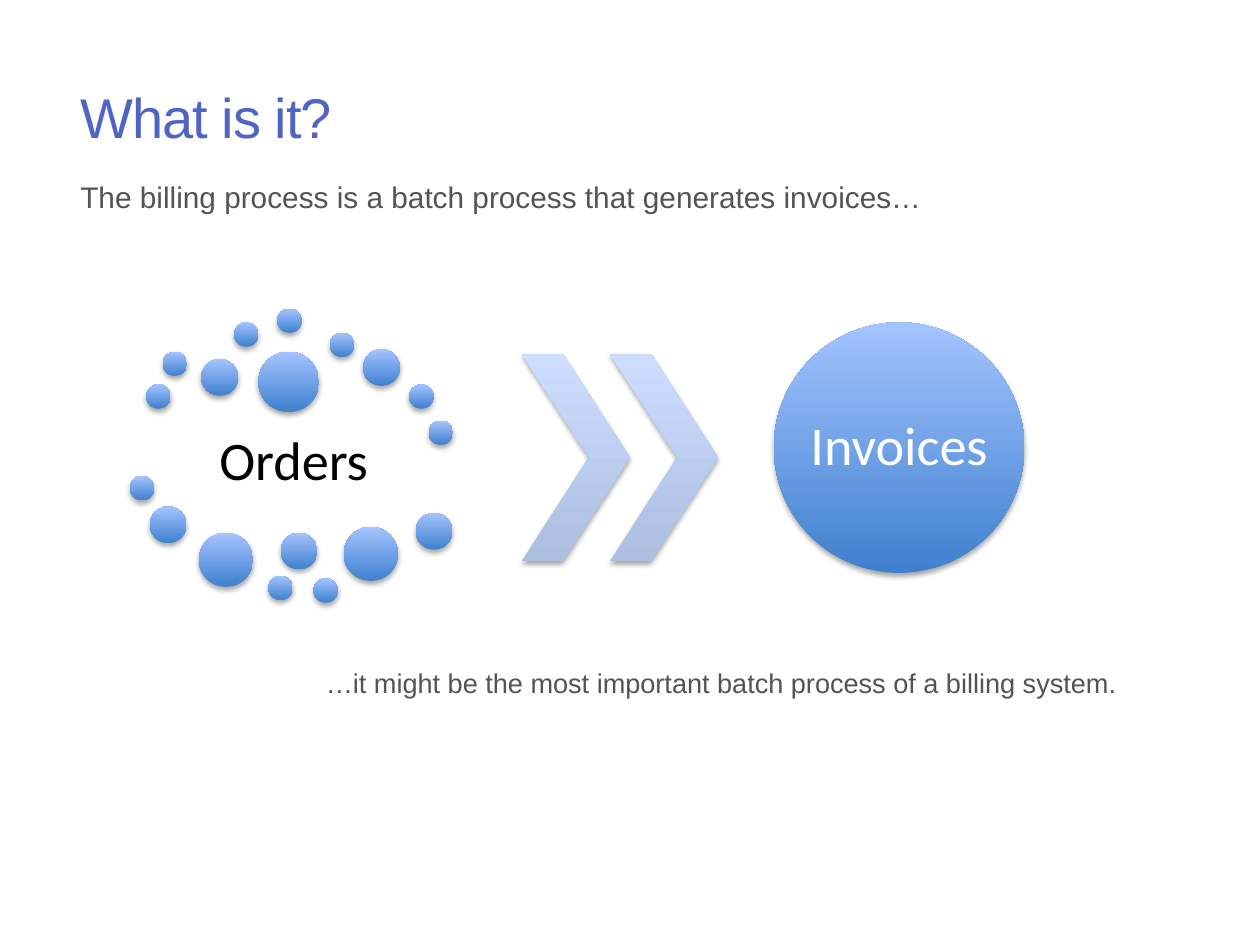
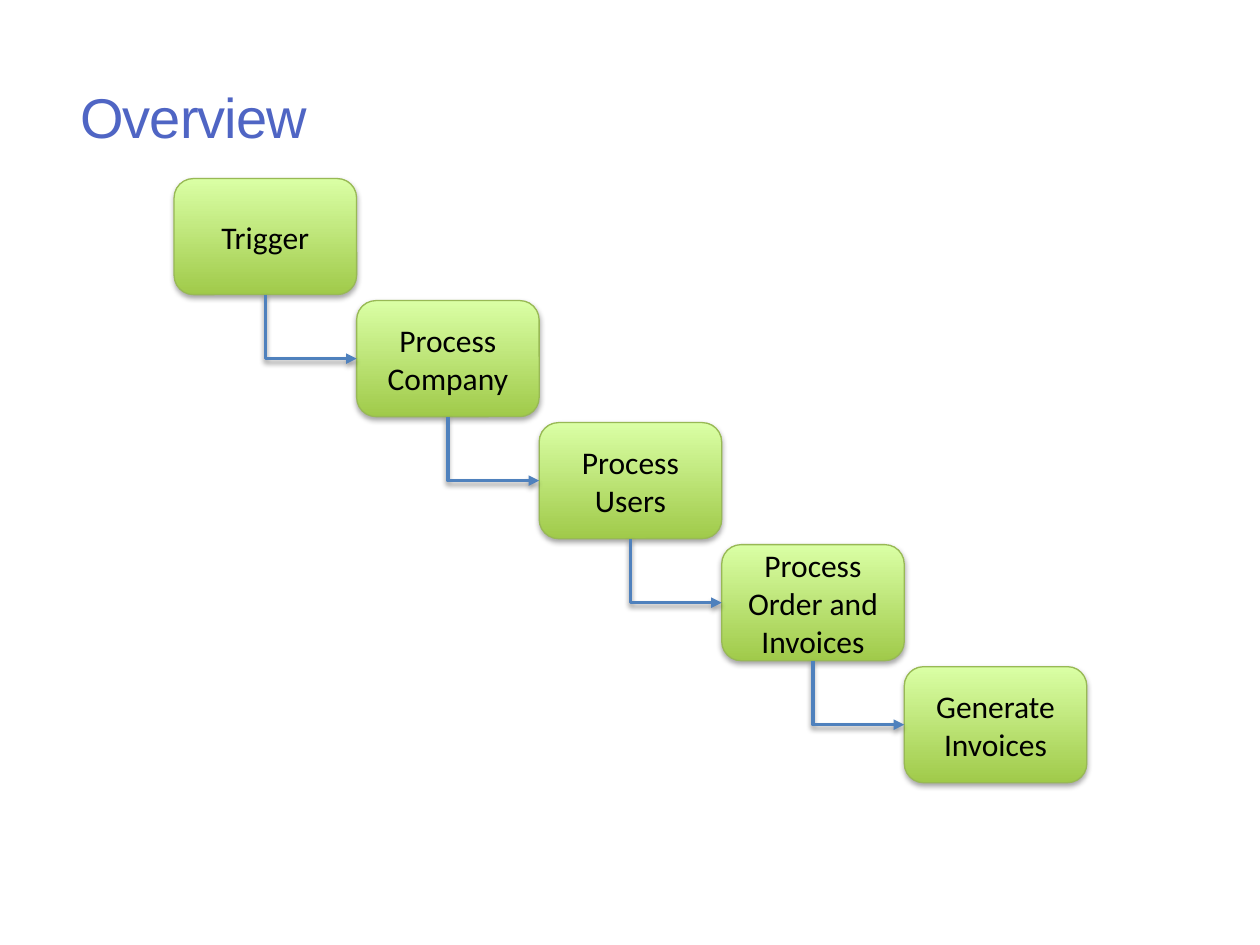
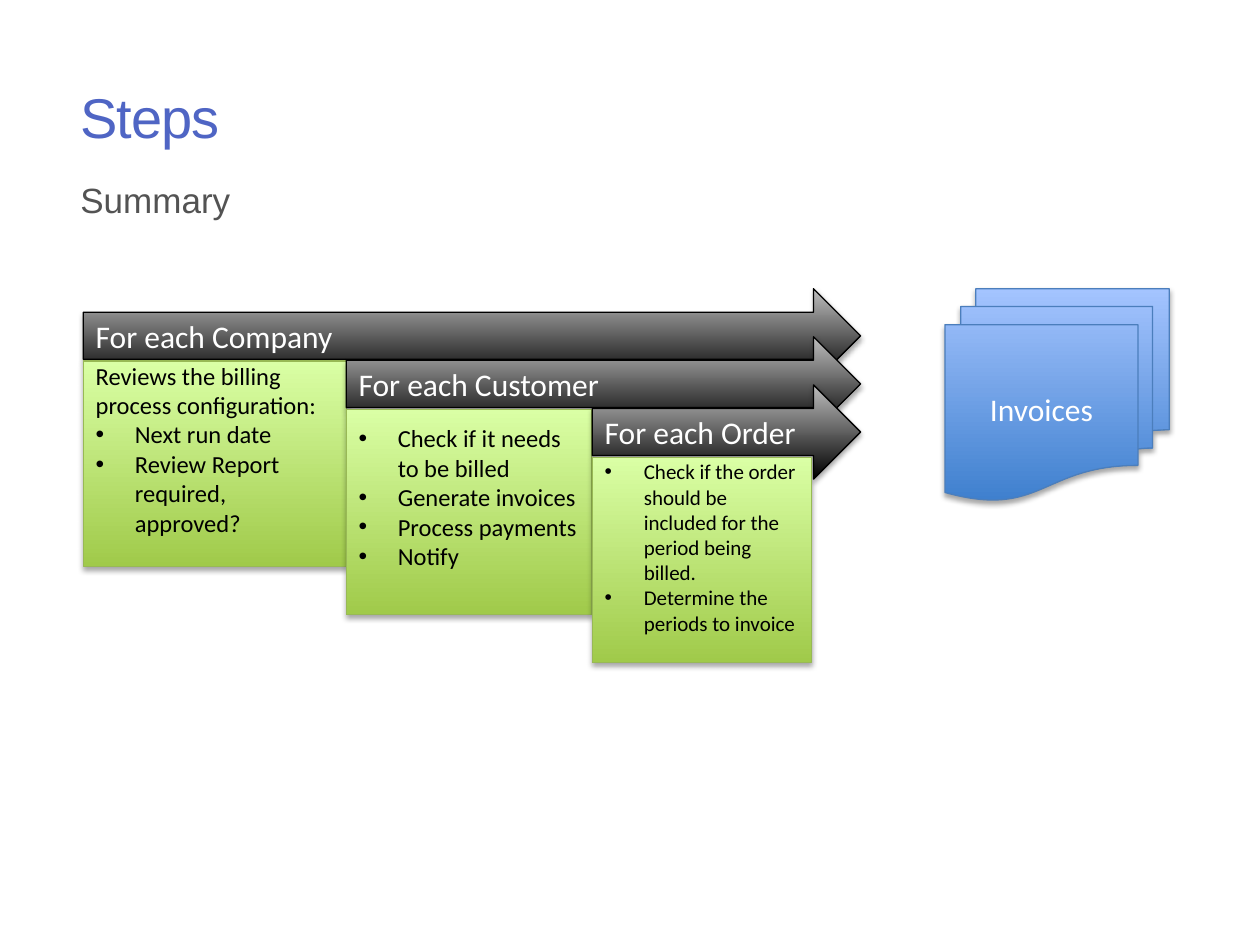
from lxml import etree
from pptx import Presentation, util as u
from pptx.dml.color import RGBColor
from pptx.enum import shapes, text
from pptx.oxml.ns import qn

GREY = "535353"
WHITE = "FFFFFF"
BLACK = "000000"
HEADING = "4F65C4"
LINK = "4F81BD"
BLUE = ("3F80CE", "A4C4FF")
PALE = ("ADBFE1", "CCDDFF")
GREEN = ("A0CA4A", "DAFFA5")
DARK = ("000000", "BDBDBD")
GREEN_EDGE = "98B955"
BLUE_EDGE = "4B7EBC"

INTRO = "The billing process is a batch process that generates invoices…"
CLOSING = "…it might be the most important batch process of a billing system."
ORDER_DOTS = {
    0.49: [(2.95, 7.75), (3.28, 7.09), (4.72, 6.5), (5.59, 6.22), (6.65, 6.71),
           (8.25, 7.75), (8.64, 8.48), (2.62, 9.6), (5.41, 11.61), (6.32, 11.66)],
    0.74: [(4.06, 7.24), (7.32, 7.04), (3.02, 10.21), (5.66, 10.74), (8.38, 10.34)],
    1.09: [(4.01, 10.74), (6.93, 10.62)],
    1.22: [(5.21, 7.09)],
}
STAGES = ["Trigger", "Process Company", "Process Users",
          "Process Order and Invoices", "Generate Invoices"]
LOOPS = [
    ("For each Company", 1.68, 5.31, 14, "Reviews the billing process configuration:",
     ["Next run date", "Review Report required, approved?"]),
    ("For each Customer", 6.98, 4.95, 14, None,
     ["Check if it needs to be billed", "Generate invoices", "Process payments", "Notify"]),
    ("For each Order", 11.94, 4.42, 12, None,
     ["Check if the order should be included for the period being billed.",
      "Determine the periods to invoice"]),
]

SHAPE = shapes.MSO_SHAPE
CENTER = text.PP_ALIGN.CENTER
LEFT = text.PP_ALIGN.LEFT
MIDDLE = text.MSO_ANCHOR.MIDDLE
TOP = text.MSO_ANCHOR.TOP


def rgb(value):
    return RGBColor.from_string(value)


def cm(*lengths):
    return [u.Cm(length) for length in lengths]


def cast_shadow(part, alpha=35, distance=1.8):
    properties = part._element.spPr
    effects = properties.find(qn("a:effectLst"))
    if effects is None:
        effects = etree.SubElement(properties, qn("a:effectLst"))
    outer = etree.SubElement(effects, qn("a:outerShdw"), blurRad=str(u.Pt(3.1)),
                             dist=str(u.Pt(distance)), dir="5400000", rotWithShape="0")
    colour = etree.SubElement(outer, qn("a:srgbClr"), val=BLACK)
    etree.SubElement(colour, qn("a:alpha"), val=str(alpha * 1000))


def add_bullet(paragraph):
    properties = paragraph._p.get_or_add_pPr()
    hang = u.Cm(0.79)
    properties.set("marL", str(hang))
    properties.set("indent", str(-hang))
    etree.SubElement(properties, qn("a:buFont"), typeface="Arial")
    etree.SubElement(properties, qn("a:buChar"), char="•")


def write(part, lines, size, colour, font="Calibri", align=CENTER, anchor=MIDDLE,
          inset=None, spacing=None, tracking=None, wrap=True):
    frame = part.text_frame
    frame.word_wrap = wrap
    frame.vertical_anchor = anchor
    if inset is not None:
        (frame.margin_left, frame.margin_top,
         frame.margin_right, frame.margin_bottom) = cm(*inset)
    for index, (words, bulleted) in enumerate(lines):
        paragraph = frame.add_paragraph() if index else frame.paragraphs[0]
        paragraph.alignment = align
        if spacing:
            paragraph.line_spacing = spacing
        if bulleted:
            add_bullet(paragraph)
        run = paragraph.add_run()
        run.text = words
        run.font.size = u.Pt(size)
        run.font.name = font
        run.font.color.rgb = rgb(colour)
        if tracking:
            run._r.get_or_add_rPr().set("spc", str(tracking))


def add_text(slide, box, words, size, colour, **style):
    label = slide.shapes.add_textbox(*cm(*box))
    write(label, [(words, False)], size, colour, **style)


def add_part(slide, kind, box, gradient, edge=None):
    part = slide.shapes.add_shape(kind, *cm(*box))
    part.fill.gradient()
    part.fill.gradient_angle = 90
    for stop, colour in zip(part.fill.gradient_stops, gradient):
        stop.color.rgb = rgb(colour)
    if edge:
        part.line.color.rgb = rgb(edge)
        part.line.width = u.Pt(0.75)
    else:
        part.line.fill.background()
    part.shadow.inherit = False
    cast_shadow(part)
    return part


def add_link(slide, upper, lower):
    x0, y0 = upper.left + upper.width // 2, upper.top + upper.height
    x1, y1 = lower.left, lower.top + lower.height // 2
    link = slide.shapes.add_connector(shapes.MSO_CONNECTOR.ELBOW, x0, y0, x1, y1)
    link.begin_connect(upper, 2)
    link.end_connect(lower, 1)
    across, down = x1 - x0, y1 - y0
    link.left, link.top = (x0 + x1 - down) // 2, (y0 + y1 - across) // 2
    link.width, link.height = down, across
    properties = link._element.spPr
    frame = properties.find(qn("a:xfrm"))
    frame.set("rot", "16200000")
    frame.set("flipH", "1")
    properties.find(qn("a:prstGeom")).set("prst", "bentConnector2")
    link.line.color.rgb = rgb(LINK)
    link.line.width = u.Pt(2)
    etree.SubElement(properties.find(qn("a:ln")), qn("a:tailEnd"), type="triangle")
    cast_shadow(link, alpha=38, distance=1.6)


def add_body(slide, words, size, left=1.37, top=3.48):
    add_text(slide, (left, top, 17.78, 1.27), words, size, GREY,
             font="Arial", align=LEFT, anchor=TOP)


def start_slide(deck, title):
    slide = deck.slides.add_slide(deck.slide_layouts[6])
    add_text(slide, (1.37, 1.3, 17.78, 2.1), title, 32, HEADING,
             font="Arial", align=LEFT, tracking=-60)
    return slide


def build_definition(deck):
    slide = start_slide(deck, "What is it?")
    add_body(slide, INTRO, 17)
    add_text(slide, (2.95, 8.36, 5.94, 1.96), "Orders", 31, BLACK,
             inset=(0.1, 0.1, 0.1, 0.1), spacing=0.9)
    for diameter, places in ORDER_DOTS.items():
        for left, top in places:
            add_part(slide, SHAPE.OVAL, (left, top, diameter, diameter), BLUE)
    for step in range(2):
        chevron = add_part(slide, SHAPE.CHEVRON, (10.52 + step * 1.78, 7.14, 2.18, 4.17), PALE)
        chevron.adjustments[0] = 0.62
    invoices = add_part(slide, SHAPE.OVAL, (15.6, 6.5, 5.05, 5.05), BLUE)
    write(invoices, [("Invoices", False)], 31, WHITE, inset=(0, 0, 0, 0),
          spacing=0.9, wrap=False)
    add_body(slide, CLOSING, 15.5, left=6.32, top=13.31)


def build_overview(deck):
    slide = start_slide(deck, "Overview")
    width, height, drop = 3.68, 2.34, 2.46
    boxes = []
    for index, name in enumerate(STAGES):
        place = (3.51 + index * width, 3.6 + index * drop, width, height)
        stage = add_part(slide, SHAPE.ROUNDED_RECTANGLE, place, GREEN, GREEN_EDGE)
        write(stage, [(name, False)], 18, BLACK)
        boxes.append(stage)
    for upper, lower in zip(boxes, boxes[1:]):
        add_link(slide, upper, lower)


def build_steps(deck):
    slide = start_slide(deck, "Steps")
    add_body(slide, "Summary", 20)
    right, first_top, drop = 17.35, 5.82, 0.97
    for index, (name, left, width, size, lead, tasks) in enumerate(LOOPS):
        top = first_top + index * drop
        arrow = add_part(slide, SHAPE.RIGHT_ARROW, (left, top, right - left, 1.9), DARK, BLACK)
        write(arrow, [(name, False)], 18, WHITE, align=LEFT)
        panel = add_part(slide, SHAPE.RECTANGLE, (left, top + 1.46, width, 4.14),
                         GREEN, GREEN_EDGE)
        lines = [(lead, False)] if lead else []
        lines += [(task, True) for task in tasks]
        bottom_inset = 0.13 + size * 0.043
        write(panel, lines, size, BLACK, align=LEFT, inset=(0.25, 0.13, 0.25, bottom_inset))
    invoices = add_part(slide, SHAPE.FLOWCHART_MULTIDOCUMENT, (19.05, 5.82, 4.52, 4.27),
                        BLUE, BLUE_EDGE)
    write(invoices, [("Invoices", False)], 18, WHITE)


def main():
    deck = Presentation()
    deck.slide_width, deck.slide_height = cm(25.4, 19.05)
    build_definition(deck)
    build_overview(deck)
    build_steps(deck)
    deck.save("out.pptx")


if __name__ == "__main__":
    main()
